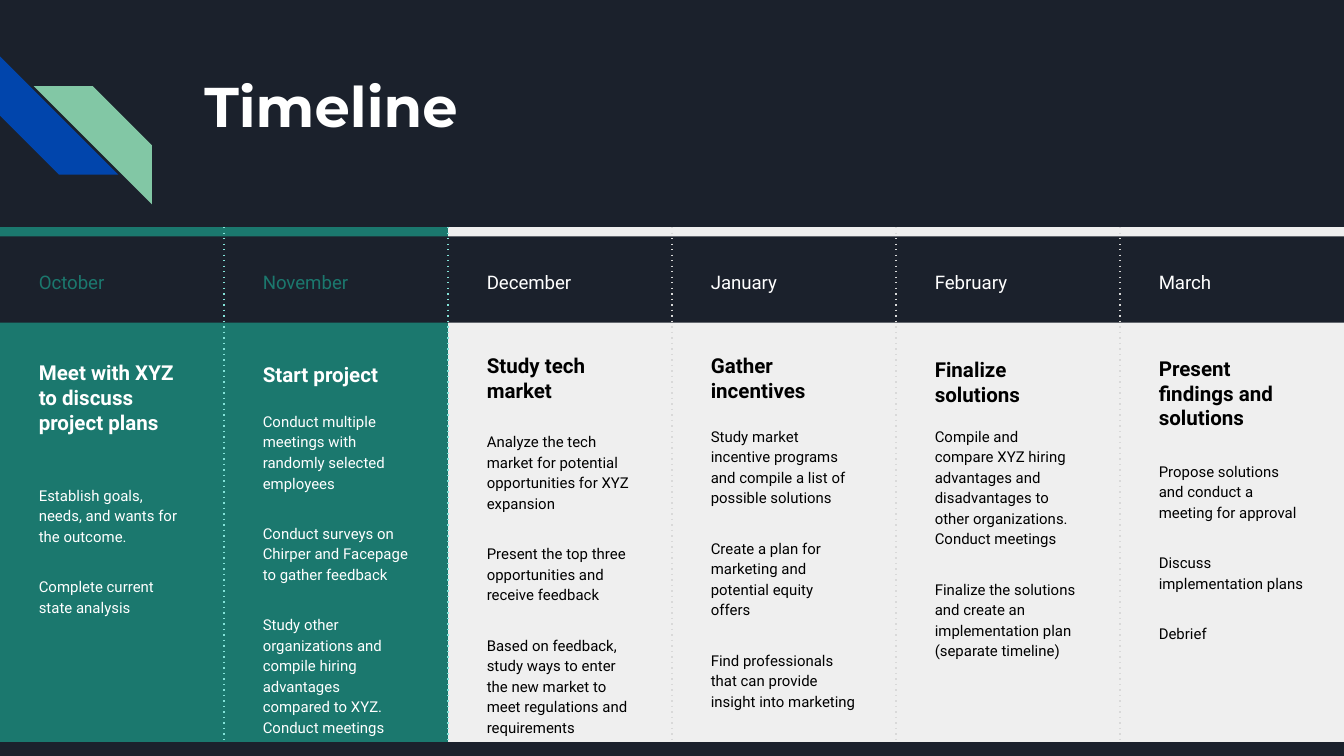
import pptx
import pptx.dml.color
import pptx.enum.shapes
import pptx.enum.text
import pptx.oxml.ns
import pptx.util
from lxml import etree

Inches = pptx.util.Inches
Pt = pptx.util.Pt
ShapeType = pptx.enum.shapes.MSO_SHAPE

COLORS = {
    "background": "1B212C",
    "blue": "0145AC",
    "mint": "82C7A5",
    "teal": "1B786E",
    "aqua": "83E3D9",
    "light": "EFEFEF",
    "gray": "D9D9D9",
    "white": "FFFFFF",
    "black": "000000",
}
DONE = {"panel": "teal", "month": "teal", "text": "white", "divider": "aqua"}
PLANNED = {"panel": "light", "month": "white", "text": "black", "divider": "gray"}

# month, style, heading, heading top, body top, activities
MONTHS = [
    ("October", DONE, "Meet with XYZ to discuss project plans", 2.58, 3.5, [
        "Establish goals, needs, and wants for the outcome.",
        "Complete current state analysis"]),
    ("November", DONE, "Start project", 2.59, 2.95, [
        "Conduct multiple meetings with randomly selected employees",
        "Conduct surveys on Chirper and Facepage to gather feedback",
        "Study other organizations and compile hiring advantages "
        "compared to XYZ. Conduct meetings"]),
    ("December", PLANNED, "Study tech market", 2.53, 3.1, [
        "Analyze the tech market for potential opportunities for XYZ expansion",
        "Present the top three opportunities and receive feedback",
        "Based on feedback, study ways to enter the new market to "
        "meet regulations and requirements"]),
    ("January", PLANNED, "Gather incentives", 2.53, 3.06, [
        "Study market incentive programs and compile a list of possible solutions",
        "Create a plan for marketing and potential equity offers",
        "Find professionals that can provide insight into marketing"]),
    ("February", PLANNED, "Finalize solutions", 2.56, 3.06, [
        "Compile and compare XYZ hiring advantages and disadvantages "
        "to other organizations. Conduct meetings",
        "Finalize the solutions and create an implementation plan "
        "(separate timeline)"]),
    ("March", PLANNED, "Present findings and solutions", 2.55, 3.32, [
        "Propose solutions and conduct a meeting for approval",
        "Discuss implementation plans",
        "Debrief"]),
]

SLIDE_WIDTH = 10
SLIDE_HEIGHT = SLIDE_WIDTH * 9 / 16
COLUMN_WIDTH = SLIDE_WIDTH / len(MONTHS)
BAR_TOP = 1.69
PANEL_TOP = 2.4
PANEL_BOTTOM = 5.52
TEXT_INDENT = 0.19
TEXT_WIDTH = 1.28


def rgb(name):
    return pptx.dml.color.RGBColor.from_string(COLORS[name])


def add_filled_shape(slide, shape_type, left, top, width, height, color):
    shape = slide.shapes.add_shape(
        shape_type, Inches(left), Inches(top), Inches(width), Inches(height))
    shape.shadow.inherit = False
    shape.fill.solid()
    shape.fill.fore_color.rgb = rgb(color)
    shape.line.fill.background()
    return shape


def prepare_frame(frame):
    """Set wrapping, top anchoring and equal margins."""
    frame.word_wrap = True
    frame.auto_size = pptx.enum.text.MSO_AUTO_SIZE.NONE
    frame.vertical_anchor = pptx.enum.text.MSO_ANCHOR.TOP
    frame.margin_left = frame.margin_right = Inches(0.1)
    frame.margin_top = frame.margin_bottom = Inches(0.1)


def add_run(paragraph, text, font, size, color, bold=False):
    run = paragraph.add_run()
    run.text = text
    run.font.name = font
    run.font.size = Pt(size)
    run.font.bold = bold
    run.font.color.rgb = rgb(color)


def add_text(slide, left, top, width, height, texts, size, color,
             bold=False, line_spacing=1.15):
    """Add a text box with one paragraph for each text."""
    box = slide.shapes.add_textbox(
        Inches(left), Inches(top), Inches(width), Inches(height))
    frame = box.text_frame
    prepare_frame(frame)
    for index, text in enumerate(texts):
        paragraph = frame.add_paragraph() if index else frame.paragraphs[0]
        paragraph.line_spacing = line_spacing
        paragraph.space_before = Pt(16 if index else 0)
        add_run(paragraph, text, "Roboto", size, color, bold)


def add_divider(slide, x, color):
    divider = slide.shapes.add_connector(
        pptx.enum.shapes.MSO_CONNECTOR.STRAIGHT,
        Inches(x), Inches(BAR_TOP), Inches(x), Inches(PANEL_BOTTOM))
    divider.line.color.rgb = rgb(color)
    divider.line.width = Pt(0.75)
    qn = pptx.oxml.ns.qn
    properties = divider.line._get_or_add_ln()
    etree.SubElement(properties, qn("a:prstDash")).set("val", "dot")
    etree.SubElement(divider._element.spPr, qn("a:effectLst"))


def add_stripes(slide):
    blue = add_filled_shape(
        slide, ShapeType.DIAGONAL_STRIPE, 0, 0.42, 0.88, 0.88, "blue")
    blue.rotation = 270
    mint = add_filled_shape(
        slide, ShapeType.DIAGONAL_STRIPE, 0.25, 0.64, 0.88, 0.88, "mint")
    mint._element.spPr.xfrm.set("flipH", "1")


def set_title(slide, text):
    title = slide.shapes.title
    title.left, title.top = Inches(1.42), Inches(0.43)
    title.width, title.height = Inches(7.7), Inches(1)
    prepare_frame(title.text_frame)
    paragraph = title.text_frame.paragraphs[0]
    paragraph.alignment = pptx.enum.text.PP_ALIGN.LEFT
    add_run(paragraph, text, "Montserrat", 30, "white", bold=True)


def add_month(slide, index):
    month, style, heading, heading_top, body_top, activities = MONTHS[index]
    left = index * COLUMN_WIDTH
    text_left = left + TEXT_INDENT
    for top, height in ((PANEL_TOP, PANEL_BOTTOM - PANEL_TOP), (BAR_TOP, 0.07)):
        add_filled_shape(slide, ShapeType.RECTANGLE, left, top,
                         COLUMN_WIDTH, height, style["panel"])
    if index < len(MONTHS) - 1:
        add_divider(slide, left + COLUMN_WIDTH, style["divider"])
    add_text(slide, text_left, heading_top, TEXT_WIDTH, body_top - heading_top,
             [heading], 11, style["text"], bold=True, line_spacing=1)
    add_text(slide, text_left, body_top, TEXT_WIDTH, 5.48 - body_top,
             activities, 8, style["text"])
    add_text(slide, text_left, 1.89, 0.95, 0.35, [month], 10, style["month"])


def main():
    presentation = pptx.Presentation()
    presentation.slide_width = Inches(SLIDE_WIDTH)
    presentation.slide_height = Inches(SLIDE_HEIGHT)
    slide = presentation.slides.add_slide(
        presentation.slide_layouts.get_by_name("Title Only"))
    slide.background.fill.solid()
    slide.background.fill.fore_color.rgb = rgb("background")
    add_stripes(slide)
    set_title(slide, "Timeline")
    # Right to left, so that each divider lies over the next month's panel
    for index in reversed(range(len(MONTHS))):
        add_month(slide, index)
    presentation.save("out.pptx")


if __name__ == "__main__":
    main()
